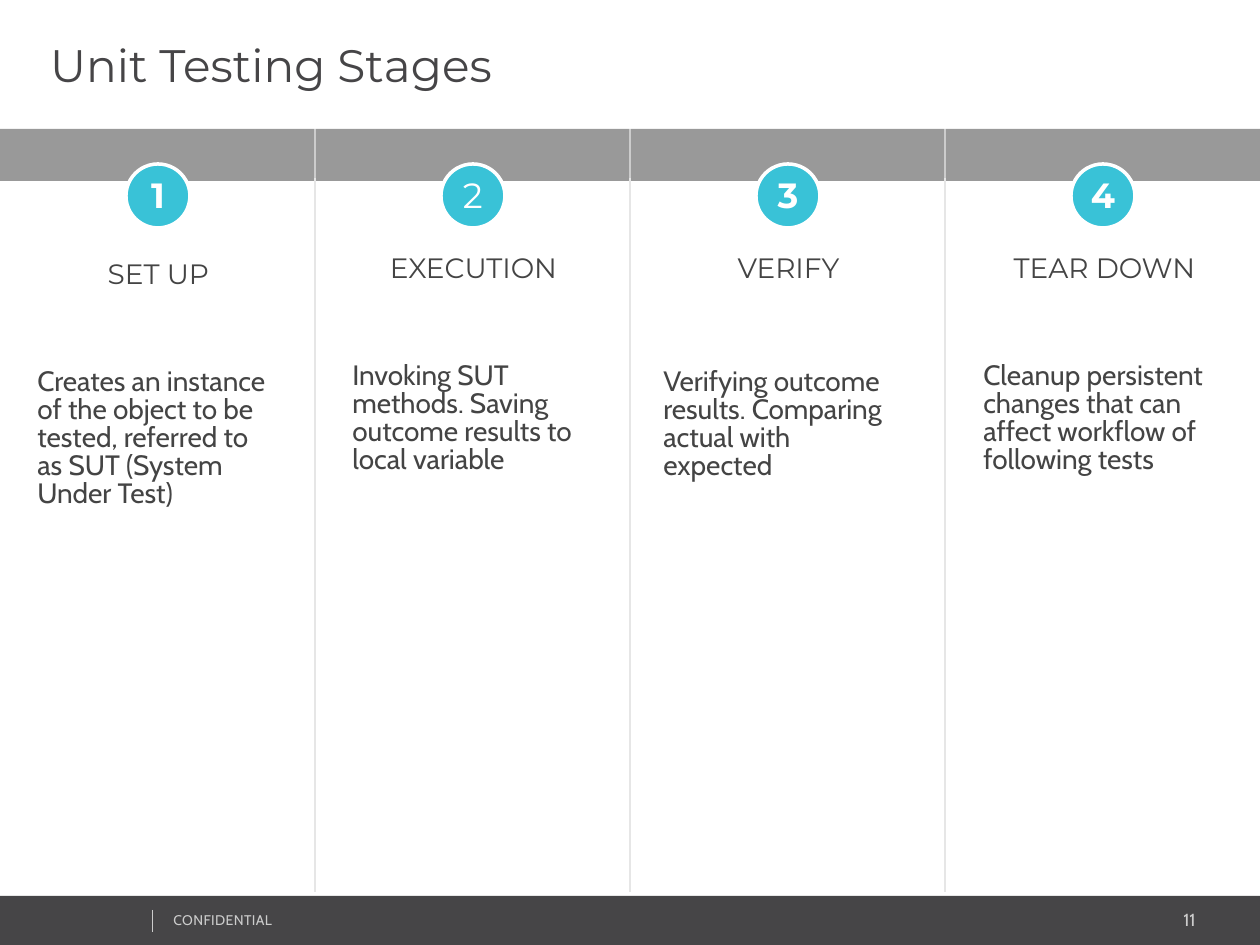
from lxml import etree
from pptx import Presentation
from pptx.dml.color import RGBColor
from pptx.enum.shapes import MSO_CONNECTOR as Connector, MSO_SHAPE as Shape
from pptx.enum.text import MSO_ANCHOR as Anchor, MSO_AUTO_SIZE as AutoSize, PP_ALIGN as Align
from pptx.oxml import parse_xml
from pptx.oxml.ns import nsdecls, qn
from pptx.util import Pt

EMU_PER_PX = 914400 / 126
WIDTH, HEIGHT = 1260, 945
COLORS = {
    "white": "FFFFFF", "dark": "464547", "text": "444444", "band": "999999",
    "accent": "39C2D7", "divider": "E6E6E6", "muted": "CCCCCC", "shadow": "000000",
}
HEADING, BODY = "Montserrat", "Cabin"


def px(value):
    return round(value * EMU_PER_PX)


def rgb(name):
    return RGBColor.from_string(COLORS[name])


class StageSlide:
    def __init__(self, deck):
        self.page = deck.slides.add_slide(deck.slide_layouts[5])
        self.shapes = self.page.shapes

    def set_text(self, box, text, size, font, color, align=Align.LEFT, bold=False, leading=None, after=None):
        frame = box.text_frame
        frame.text = text
        frame.word_wrap = True
        para = frame.paragraphs[0]
        para.alignment = align
        if leading:
            para.line_spacing = Pt(leading)
        if after:
            para.space_after = Pt(after)
        style = para.runs[0].font
        style.size, style.name, style.bold = Pt(size), font, bold
        style.color.rgb = rgb(color)
        return para

    def inset(self, box, left, top, right, bottom):
        frame = box.text_frame
        frame.margin_left, frame.margin_top = px(left), px(top)
        frame.margin_right, frame.margin_bottom = px(right), px(bottom)
        frame.vertical_anchor = Anchor.MIDDLE

    def title(self, text, height):
        box = self.shapes.title
        box.left, box.top, box.width, box.height = 0, 0, px(WIDTH), px(height)
        box.fill.solid()
        box.fill.fore_color.rgb = rgb("white")
        self.set_text(box, text, 26, HEADING, "dark")
        self.inset(box, 50, 6, 13, 6)
        box.text_frame.auto_size = AutoSize.NONE
        box._element.spPr.append(parse_xml(
            f'<a:effectLst {nsdecls("a")}><a:outerShdw blurRad="39370" dist="25400" dir="5400000">'
            f'<a:srgbClr val="{COLORS["shadow"]}"><a:alpha val="30000"/></a:srgbClr>'
            '</a:outerShdw></a:effectLst>'))

    def shape(self, kind, left, top, width, height, fill, outline=None):
        shape = self.shapes.add_shape(kind, px(left), px(top), px(width), px(height))
        shape.shadow.inherit = False
        shape.fill.solid()
        shape.fill.fore_color.rgb = rgb(fill)
        if outline:
            shape.line.color.rgb = rgb(outline)
            shape.line.width = Pt(2)
        else:
            shape.line.fill.background()
        return shape

    def badge(self, left, top, text, bold):
        badge = self.shape(Shape.OVAL, left, top, 64, 64, "accent", "white")
        self.set_text(badge, text, 20, HEADING, "white", Align.CENTER, bold)
        self.inset(badge, 0, 4, 0, 6)

    def text(self, left, top, width, height, text, size, font, color, **options):
        box = self.shapes.add_textbox(px(left), px(top), px(width), px(height))
        para = self.set_text(box, text, size, font, color, **options)
        box.text_frame.auto_size = AutoSize.SHAPE_TO_FIT_TEXT
        return para

    def rule(self, x, top, bottom, color, width, opacity=None):
        line = self.shapes.add_connector(Connector.STRAIGHT, px(x), px(top), px(x), px(bottom))
        line.line.color.rgb = rgb(color)
        line.line.width = Pt(width)
        properties = line._element.spPr
        if opacity:
            fill = next(properties.iter(qn("a:srgbClr")))
            etree.SubElement(fill, qn("a:alpha")).set("val", str(opacity * 1000))
        etree.SubElement(properties, qn("a:effectLst"))


# Heading, heading top, body left within column, body top, bold number, body
STAGES = [
    ("SET UP", 252, 25, 363, True,
     "Creates an instance of the object to be tested, referred to as SUT (System Under Test)"),
    ("EXECUTION", 246, 25, 357, False,
     "Invoking SUT methods. Saving outcome results to local variable"),
    ("VERIFY", 246, 21, 363, True,
     "Verifying outcome results. Comparing actual with expected"),
    ("TEAR DOWN", 246, 26, 357, True,
     "Cleanup persistent changes that can affect workflow of following tests"),
]


def main():
    deck = Presentation()
    deck.slide_width, deck.slide_height = px(WIDTH), px(HEIGHT)
    slide = StageSlide(deck)

    # Title and band
    slide.title("Unit Testing Stages", 129)
    slide.shape(Shape.RECTANGLE, 0, 129, WIDTH, 52, "band")

    # Footer
    slide.shape(Shape.RECTANGLE, 0, 896, WIDTH, 49, "dark")
    slide.rule(152, 910, 932, "muted", 0.25)
    label = slide.text(161, 905, 319, 30, "CONFIDENTIAL", 8, BODY, "muted")
    label.runs[0].font._element.set("spc", "20")
    slide.text(1003, 903, 205, 34, "11", 10, BODY, "muted", align=Align.RIGHT)

    # Stage columns
    column = WIDTH // len(STAGES)
    for index, (heading, heading_top, body_left, body_top, bold, body) in enumerate(STAGES):
        left = index * column
        if index:
            slide.rule(left, 126, 178, "white", 1, opacity=50)
            slide.rule(left, 178, 892, "divider", 1)
        slide.badge(left + 126, 164, str(index + 1), bold)
        slide.text(left + max(body_left, 25), heading_top, 267, 44, heading, 16, HEADING, "text",
                   align=Align.CENTER, leading=18)
        slide.text(left + body_left, body_top, 267, 126, body, 16, BODY, "text",
                   leading=16, after=13)

    deck.save("out.pptx")


if __name__ == "__main__":
    main()
